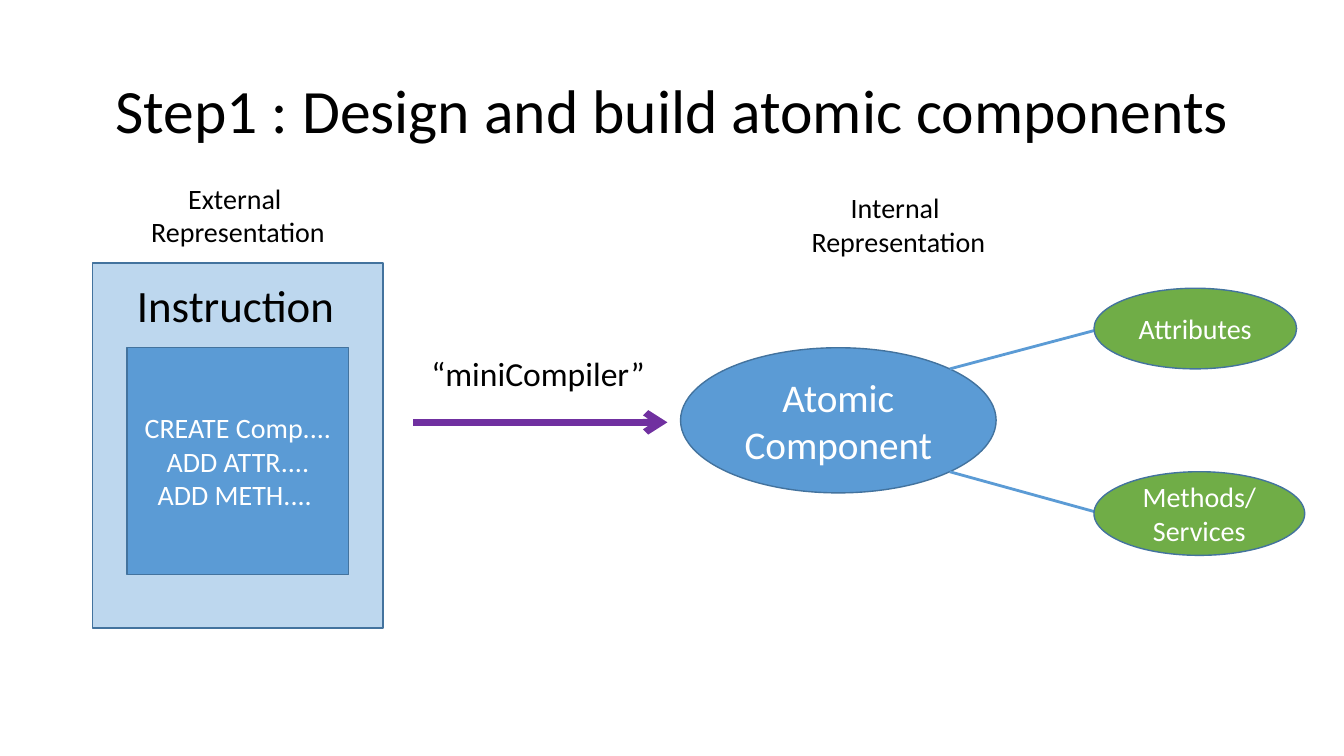
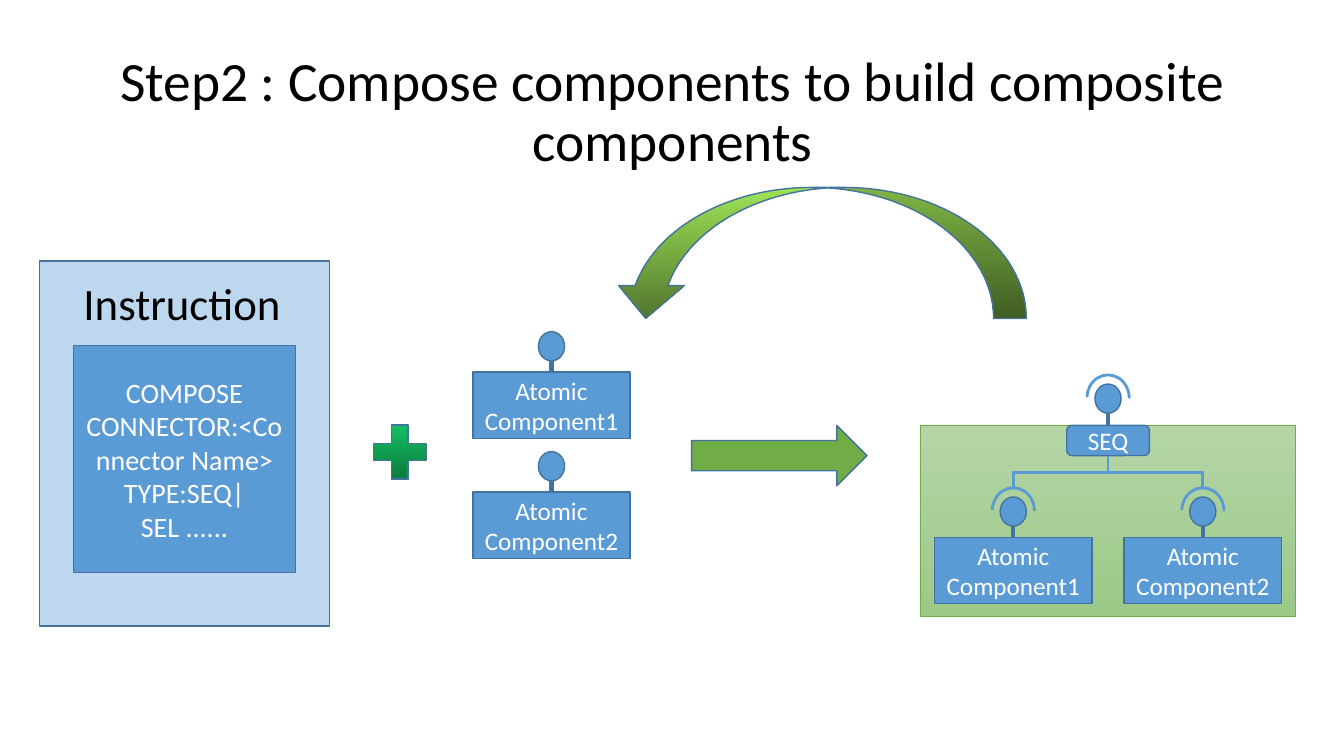
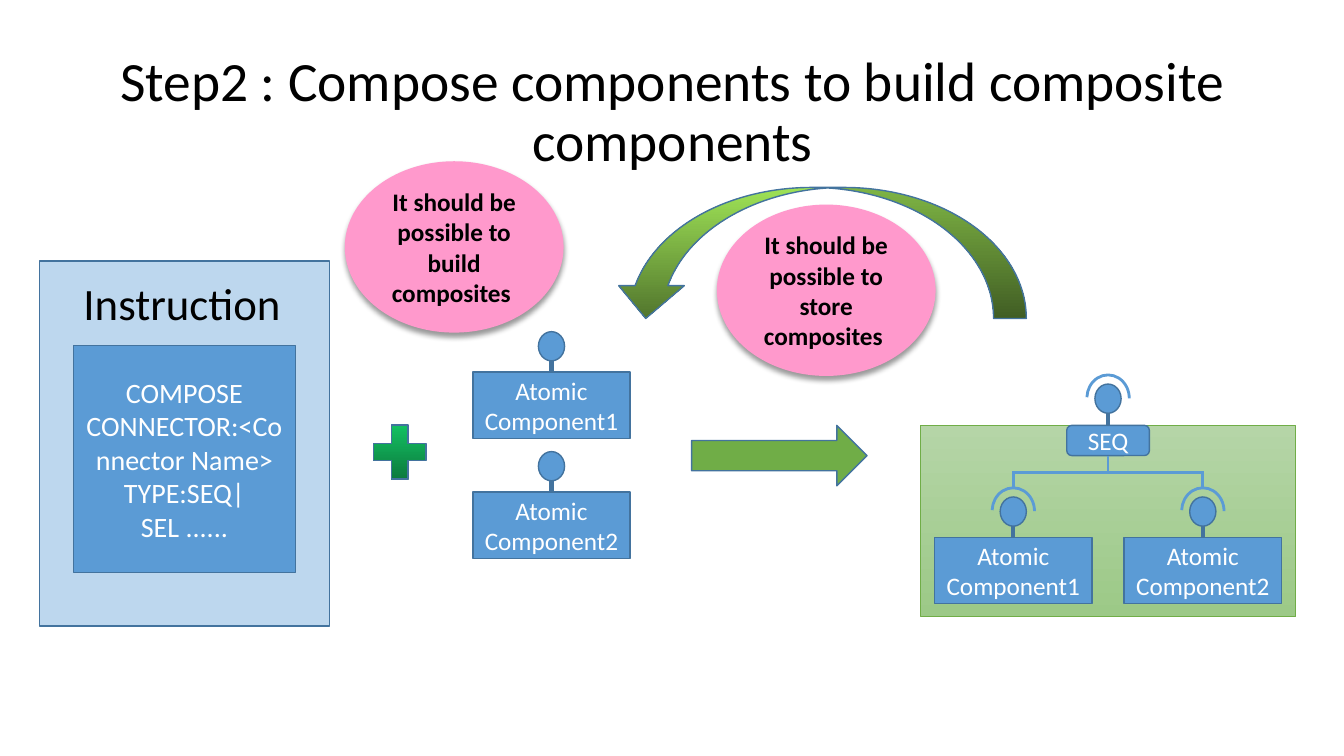
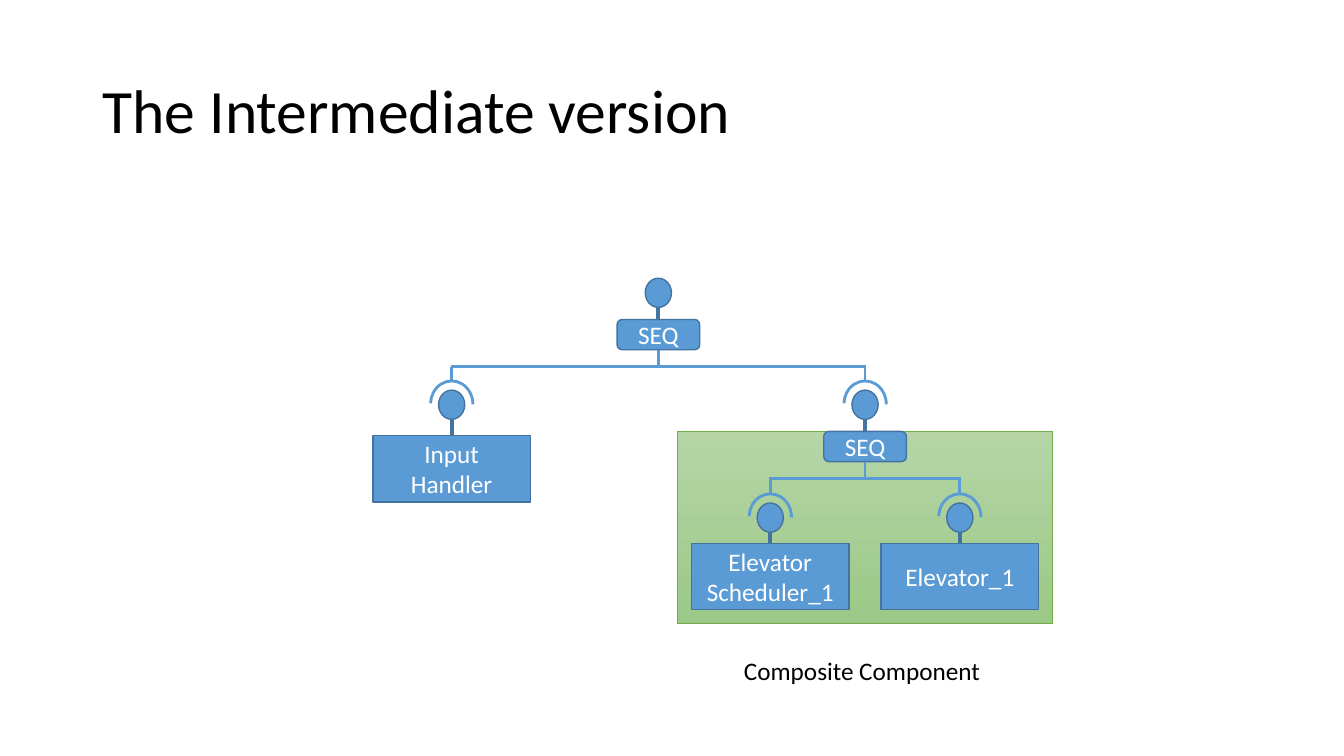
from lxml import etree
from pptx import Presentation
from pptx.dml.color import RGBColor
from pptx.enum.shapes import MSO_CONNECTOR, MSO_SHAPE
from pptx.enum.text import MSO_ANCHOR, MSO_AUTO_SIZE, PP_ALIGN
from pptx.oxml.ns import qn
from pptx.util import Pt

PX = 9144
FONT = "Calibri"
BLACK, WHITE = "000000", "FFFFFF"
BLUE, PALE_BLUE, EDGE = "5B9BD5", "BDD7EE", "43739E"
GREEN, PINK, PURPLE = "70AD47", "FF99CC", "7030A0"
COMPOSITE_FILL = ("B5D5A7", "9CC987")
PLUS_FILL = ("14CD68", "0B6E38")
RETURN_FILL = ("9EE256", "52762D")
LEFT, CENTER = PP_ALIGN.LEFT, PP_ALIGN.CENTER
TOP, MIDDLE = MSO_ANCHOR.TOP, MSO_ANCHOR.MIDDLE
GROW = MSO_AUTO_SIZE.SHAPE_TO_FIT_TEXT
FIXED = MSO_AUTO_SIZE.NONE
STRAIGHT = MSO_CONNECTOR.STRAIGHT
RECTANGLE, ROUNDED = MSO_SHAPE.RECTANGLE, MSO_SHAPE.ROUNDED_RECTANGLE
ELLIPSE, ARC, PLUS = MSO_SHAPE.OVAL, MSO_SHAPE.ARC, MSO_SHAPE.MATH_PLUS
RIGHT_ARROW, CURVED_ARROW = MSO_SHAPE.RIGHT_ARROW, MSO_SHAPE.CURVED_DOWN_ARROW
SITE_TOP, SITE_BOTTOM = 0, 2


def color(value):
    return RGBColor.from_string(value)


class Deck:
    """Holds the shared style and draws elements on the current slide."""

    def __init__(self):
        self.presentation = Presentation()
        self.presentation.slide_width = 1333 * PX
        self.presentation.slide_height = 750 * PX
        self.slide = None

    def new_slide(self, title, size=44, align=CENTER):
        self.slide = self.presentation.slides.add_slide(self.presentation.slide_layouts[6])
        shape = self.text((92, 40, 1150, 145), [title], size, align)
        shape.text_frame.auto_size = FIXED
        shape.text_frame.vertical_anchor = MIDDLE
        shape.text_frame.paragraphs[0].line_spacing = 0.9

    def add_lines(self, shape, lines, size, ink, align, bold=False):
        frame = shape.text_frame
        frame.word_wrap = True
        for index, line in enumerate(lines):
            paragraph = frame.add_paragraph() if index else frame.paragraphs[0]
            paragraph.alignment = align
            run = paragraph.add_run()
            run.text = line
            run.font.name = FONT
            run.font.size = Pt(size)
            run.font.bold = bold
            run.font.color.rgb = color(ink)

    def text(self, box, lines, size, align=LEFT):
        shape = self.slide.shapes.add_textbox(*(value * PX for value in box))
        self.add_lines(shape, lines, size, BLACK, align)
        shape.text_frame.vertical_anchor = TOP
        shape.text_frame.auto_size = GROW
        return shape

    def shape(self, kind, box, fill=BLUE, lines=(), size=18, edge=EDGE, width=1,
              ink=WHITE, bold=False):
        shape = self.slide.shapes.add_shape(kind, *(value * PX for value in box))
        shape.shadow.inherit = False
        if fill is None:
            shape.fill.background()
        elif isinstance(fill, tuple):
            shape.fill.gradient()
            shape.fill.gradient_angle = 270
            for stop, value in zip(shape.fill.gradient_stops, fill):
                stop.color.rgb = color(value)
        else:
            shape.fill.solid()
            shape.fill.fore_color.rgb = color(fill)
        if edge is None:
            shape.line.fill.background()
        else:
            shape.line.color.rgb = color(edge)
            shape.line.width = Pt(width)
        if lines:
            shape.text_frame.vertical_anchor = MIDDLE
            self.add_lines(shape, lines, size, ink, CENTER, bold)
        return shape

    def line(self, start, end, ink=BLUE, width=2, holder=None, site=SITE_TOP, arrow=False):
        ends = (value * PX for value in (*start, *end))
        connector = self.slide.shapes.add_connector(STRAIGHT, *ends)
        if holder is not None:
            connector.begin_connect(holder, site)
        connector.line.color.rgb = color(ink)
        connector.line.width = Pt(width)
        properties = connector.element.spPr
        if arrow:
            etree.SubElement(properties.find(qn("a:ln")), qn("a:tailEnd"), type="arrow")
        etree.SubElement(properties, qn("a:effectLst"))

    def port(self, holder, center, top, rise, socket):
        ball = top - rise
        self.line((center, top), (center, ball + 29), EDGE, 3, holder)
        self.shape(ELLIPSE, (center - 13, ball, 26, 29))
        if socket:
            arc = self.shape(ARC, (center - 21, ball - 9, 42, 46), None, edge=BLUE, width=2)
            arc.adjustments[0] = 109.42
            arc.adjustments[1] = 0.38

    def component(self, center, top, lines, rise=40, socket=True):
        holder = self.shape(RECTANGLE, (center - 78, top, 156, 66), BLUE, lines)
        self.port(holder, center, top, rise, socket)

    def sequencer(self, center, top, children, socket=True):
        holder = self.shape(ROUNDED, (center - 41, top, 82, 30), BLUE, ["SEQ"])
        self.port(holder, center, top, 41, socket)
        bar = top + 47
        self.line((center, top + 30), (center, bar), holder=holder, site=SITE_BOTTOM)
        self.line((children[0] - 1, bar), (children[1] + 1, bar))
        for child in children:
            self.line((child, bar), (child, bar + 15))

    def composite(self, center, top, parts):
        self.shape(RECTANGLE, (center - 186, top, 372, 190), COMPOSITE_FILL,
                   edge=GREEN, width=0.5)
        children = (center - 94, center + 94)
        for child, lines in zip(children, parts):
            self.component(child, top + 111, lines)
        self.sequencer(center, top, children)

    def instructions(self, left, top, commands):
        self.shape(RECTANGLE, (left, top, 288, 362), PALE_BLUE)
        self.text((left + 34, top + 10, 220, 118), ["Instructions"], 32)
        self.shape(RECTANGLE, (left + 34, top + 84, 220, 225), BLUE, commands, 20)

    def bubble(self, left, top, sentence):
        shape = self.shape(ELLIPSE, (left, top, 217, 170), PINK, [sentence],
                           edge=None, ink=BLACK, bold=True)
        effects = shape.element.spPr.find(qn("a:effectLst"))
        shadow = etree.SubElement(effects, qn("a:outerShdw"), blurRad=str(Pt(4)),
                                  dist=str(Pt(3)), dir="5400000", rotWithShape="0")
        tint = etree.SubElement(shadow, qn("a:srgbClr"), val=BLACK)
        etree.SubElement(tint, qn("a:alpha"), val="40000")


def atomic_slide(deck):
    deck.new_slide("Step1 : Design and build atomic components")
    deck.shape(ELLIPSE, (675, 345, 313, 144), BLUE, ["Atomic Component"], 28)
    deck.line((942, 366), (1085, 328))
    deck.shape(ELLIPSE, (1085, 286, 201, 80), GREEN, ["Attributes"], 20)
    deck.line((942, 468), (1087, 508))
    deck.shape(ELLIPSE, (1085, 468, 209, 83), GREEN, ["Methods/", "Services"], 20)
    deck.line((410, 419), (662, 419), PURPLE, 5, arrow=True)
    deck.text((418, 345, 237, 50), ["“miniCompiler”"], 24)
    deck.instructions(92, 261, ["CREATE Comp....", "ADD ATTR....", "ADD METH.... "])
    for left, top, side in ((92, 175, "External "), (747, 184, "Internal ")):
        deck.text((left, top, 288, 77), [side, "Representation"], 20, CENTER)


def compose_slide(deck):
    deck.new_slide("Step2 : Compose components to build composite components", 39.6)
    parts = [["Atomic", f"Component{number}"] for number in (1, 2)]
    for top, lines in zip((369, 488), parts):
        deck.component(547, top, lines, socket=False)
    deck.instructions(39, 259, ["COMPOSE CONNECTOR:<Connector Name> TYPE:SEQ|SEL ......"])
    deck.shape(PLUS, (361, 412, 71, 73), PLUS_FILL)
    deck.shape(RIGHT_ARROW, (686, 422, 174, 60), GREEN)
    deck.composite(1099, 422, parts)
    feedback = deck.shape(CURVED_ARROW, (608, 186, 410, 130), RETURN_FILL)
    feedback.element.spPr.find(qn("a:xfrm")).set("flipH", "1")


def intermediate_slide(deck):
    deck.new_slide("The Intermediate version", align=LEFT)
    deck.component(448, 432, ["Input Handler"], rise=45)
    deck.composite(858, 428, [["Elevator", "Scheduler_1"], ["Elevator_1"]])
    deck.sequencer(653, 317, (448, 858), socket=False)
    deck.text((728, 645, 261, 40), ["Composite Component"], 18)


def main():
    deck = Deck()
    atomic_slide(deck)
    compose_slide(deck)
    compose_slide(deck)
    deck.bubble(342, 160, "It should be possible to build composites ")
    deck.bubble(711, 203, "It should be possible to store composites ")
    intermediate_slide(deck)
    deck.presentation.save("out.pptx")


if __name__ == "__main__":
    main()
